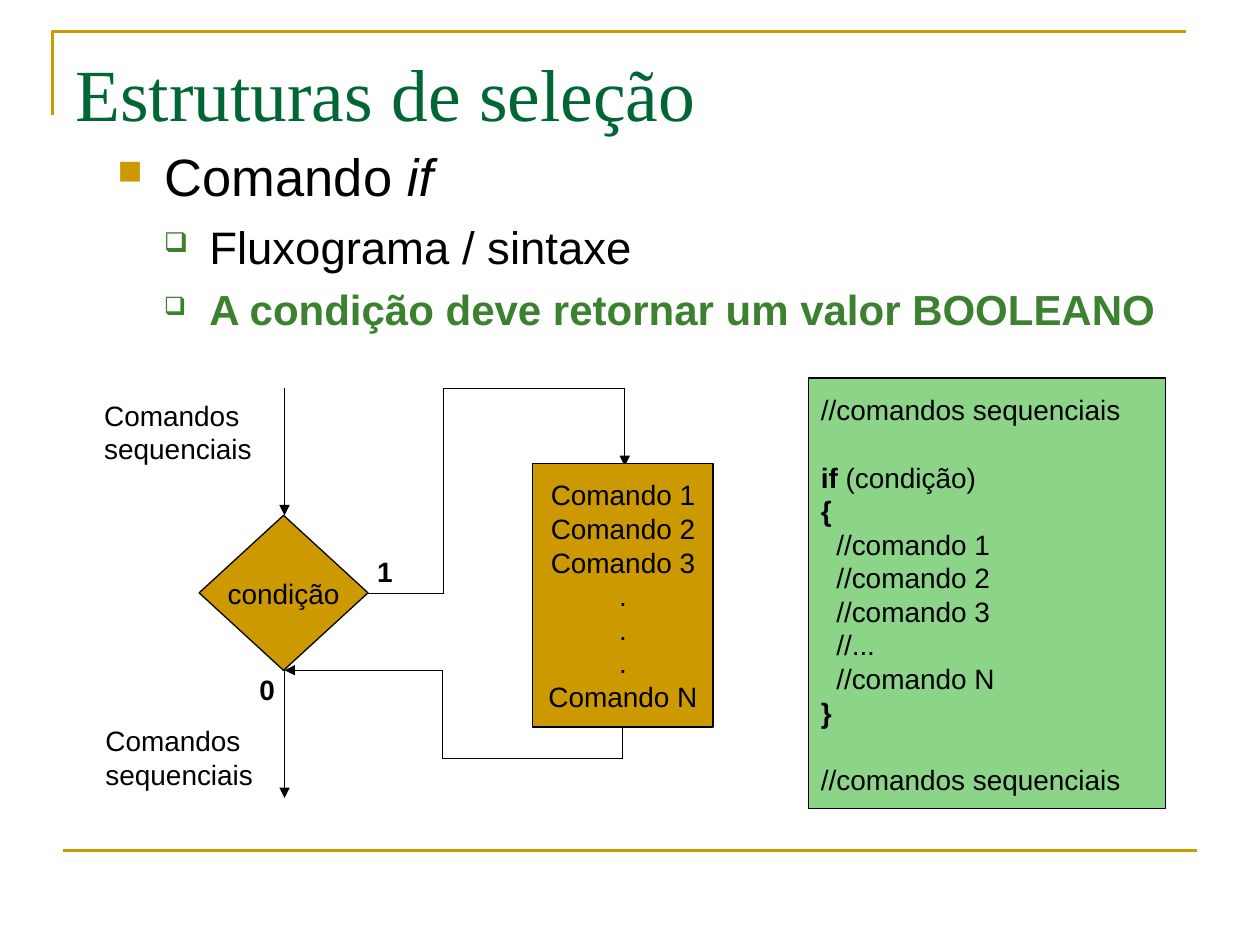
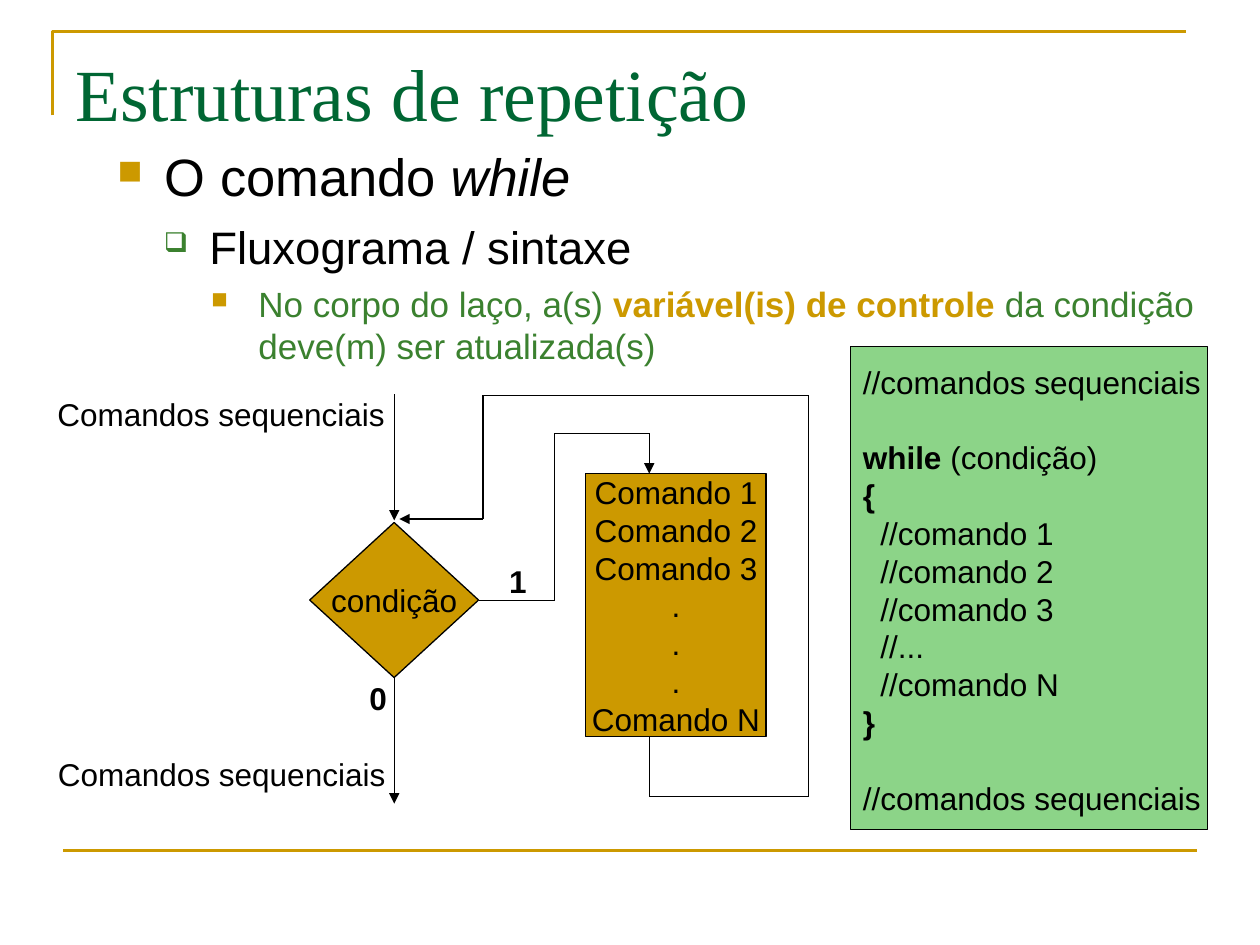
"""Build two slides on selection and repetition structures, with flowcharts and syntax."""
from dataclasses import dataclass
from itertools import pairwise
from typing import NamedTuple

from lxml import etree
from pptx import Presentation
from pptx.dml.color import RGBColor
from pptx.enum.shapes import MSO_CONNECTOR, MSO_SHAPE
from pptx.enum.text import MSO_ANCHOR, PP_ALIGN
from pptx.oxml.ns import qn
from pptx.util import Pt

LEFT, CENTER = PP_ALIGN.LEFT, PP_ALIGN.CENTER
TOP, MIDDLE = MSO_ANCHOR.TOP, MSO_ANCHOR.MIDDLE
RECTANGLE, DIAMOND = MSO_SHAPE.RECTANGLE, MSO_SHAPE.DIAMOND
STRAIGHT = MSO_CONNECTOR.STRAIGHT

GOLD = RGBColor(0xCC, 0x99, 0x00)
TITLE_GREEN = RGBColor(0x00, 0x66, 0x33)
TEXT_GREEN = RGBColor(0x3B, 0x81, 0x2F)
CODE_GREEN = RGBColor(0x8C, 0xD4, 0x88)
BLACK = RGBColor(0x00, 0x00, 0x00)

SANS, SERIF = "Arial", "Times New Roman"
LINE_HEIGHT = 1.2
THIN, FRAME_WIDTH = 0.75, 1.5
DIAMOND_SIZE = (96.5, 88.6)
COMMANDS_SIZE = (103, 150.5)
COMMANDS = ["Comando 1", "Comando 2", "Comando 3", ".", ".", ".", "Comando N"]


class Bullet(NamedTuple):
    """Marker and indent of one outline level."""
    char: str
    color: RGBColor
    percent: int
    margin: float
    hanging: float


class Run(NamedTuple):
    """Stretch of text that may differ from its paragraph."""
    text: str
    bold: bool | None = None
    italic: bool | None = None
    color: RGBColor | None = None


class Box(NamedTuple):
    """Position and size in points."""
    left: float
    top: float
    width: float
    height: float


@dataclass
class Line:
    """Paragraph with its common format."""
    runs: list[Run]
    size: float
    color: RGBColor = BLACK
    bold: bool = False
    align: PP_ALIGN = LEFT
    before: float = 0
    bullet: Bullet | None = None
    font: str = SANS


class Label(NamedTuple):
    """Caption beside the flowchart."""
    texts: list[str]
    box: Box
    bold: bool = False
    align: PP_ALIGN = CENTER


class Route(NamedTuple):
    """Path through corner points, with an arrowhead at its end."""
    points: list[tuple[float, float]]


@dataclass
class Lesson:
    """Content of one slide."""
    title: str
    outline: list[Line]
    keyword: str
    size: float
    panel: Box
    code: Box
    condition: tuple[float, float]
    commands: tuple[float, float]
    routes: list[Route]
    labels: list[Label]


LEVEL_1 = Bullet("■", GOLD, 65, 27, 27)
LEVEL_2 = Bullet("❑", TEXT_GREEN, 60, 52.5, 26)
LEVEL_3 = Bullet("■", GOLD, 65, 80.6, 27)


def points(values) -> list:
    """Convert numbers to lengths."""
    return [Pt(value) for value in values]


def add_bullet(paragraph, bullet: Bullet) -> None:
    """Give the paragraph its marker and hanging indent."""
    properties = paragraph._p.get_or_add_pPr()
    properties.set("marL", str(Pt(bullet.margin)))
    properties.set("indent", str(-Pt(bullet.hanging)))
    color = etree.SubElement(properties, qn("a:buClr"))
    etree.SubElement(color, qn("a:srgbClr"), val=str(bullet.color))
    etree.SubElement(properties, qn("a:buSzPct"), val=str(bullet.percent * 1000))
    etree.SubElement(properties, qn("a:buChar"), char=bullet.char)


def write(frame, lines: list[Line], wrap: bool = False, anchor: MSO_ANCHOR = TOP) -> None:
    """Fill a text frame with formatted lines."""
    frame.word_wrap = wrap
    frame.vertical_anchor = anchor
    for index, line in enumerate(lines):
        paragraph = frame.add_paragraph() if index else frame.paragraphs[0]
        if line.bullet:
            add_bullet(paragraph, line.bullet)
        paragraph.alignment = line.align
        paragraph.line_spacing = Pt(line.size * LINE_HEIGHT)
        paragraph.space_before = Pt(line.before)
        font = paragraph.font
        font.name, font.size, font.bold = line.font, Pt(line.size), line.bold
        font.color.rgb = line.color
        for part in line.runs:
            run = paragraph.add_run()
            run.text = part.text
            if part.bold is not None:
                run.font.bold = part.bold
            if part.italic is not None:
                run.font.italic = part.italic
            if part.color is not None:
                run.font.color.rgb = part.color


def add_text(slide, box: Box, lines: list[Line], wrap: bool = False) -> None:
    """Add a text box."""
    write(slide.shapes.add_textbox(*points(box)).text_frame, lines, wrap)


def add_block(slide, kind: MSO_SHAPE, box: Box, fill: RGBColor, lines: list[Line]) -> None:
    """Add a filled, outlined shape with centred text."""
    block = slide.shapes.add_shape(kind, *points(box))
    block.shadow.inherit = False
    block.fill.solid()
    block.fill.fore_color.rgb = fill
    block.line.color.rgb = BLACK
    block.line.width = Pt(THIN)
    write(block.text_frame, lines, anchor=MIDDLE)


def add_line(slide, start, end, color: RGBColor = BLACK, width: float = THIN,
             arrow: bool = False) -> None:
    """Add a straight line, with an arrowhead if asked."""
    connector = slide.shapes.add_connector(STRAIGHT, *points((*start, *end)))
    connector.line.color.rgb = color
    connector.line.width = Pt(width)
    if arrow:
        etree.SubElement(connector.line._get_or_add_ln(), qn("a:tailEnd"), type="triangle")
    etree.SubElement(connector._element.spPr, qn("a:effectLst"))


def add_route(slide, route: Route) -> None:
    """Draw every segment of a route."""
    segments = list(pairwise(route.points))
    for index, (start, end) in enumerate(segments, 1):
        add_line(slide, start, end, arrow=index == len(segments))


def add_frame(slide, title: str) -> None:
    """Draw the corner rule, the bottom rule and the title."""
    builder = slide.shapes.build_freeform(Pt(30), Pt(66))
    builder.add_line_segments([points((30, 18)), points((678, 18))], close=False)
    corner = builder.convert_to_shape()
    corner.shadow.inherit = False
    corner.fill.background()
    corner.line.color.rgb = GOLD
    corner.line.width = Pt(FRAME_WIDTH)
    add_line(slide, (36, 486), (684, 486), GOLD, FRAME_WIDTH)
    heading = Line([Run(title)], 42, TITLE_GREEN, font=SERIF)
    add_text(slide, Box(36, 24, 648, 90), [heading], wrap=True)


def code_lines(keyword: str, size: float) -> list[Line]:
    """Return the syntax example for a keyword."""
    gap = size * LINE_HEIGHT
    body = ["comando 1", "comando 2", "comando 3", "...", "comando N"]
    return [
        Line([Run("//comandos sequenciais")], size),
        Line([Run(keyword, bold=True), Run(" (condição)")], size, before=gap),
        Line([Run("{")], size, bold=True),
        *[Line([Run(f"  //{text}")], size) for text in body],
        Line([Run("}")], size, bold=True),
        Line([Run("//comandos sequenciais")], size, before=gap),
    ]


def add_lesson(deck, lesson: Lesson) -> None:
    """Build one slide."""
    slide = deck.slides.add_slide(deck.slide_layouts[6])
    size = lesson.size
    add_frame(slide, lesson.title)
    add_text(slide, Box(60, 79, 660, 402), lesson.outline, wrap=True)
    add_block(slide, RECTANGLE, lesson.panel, CODE_GREEN, [])
    add_text(slide, lesson.code, code_lines(lesson.keyword, size), wrap=True)
    for route in lesson.routes:
        add_route(slide, route)
    add_block(slide, DIAMOND, Box(*lesson.condition, *DIAMOND_SIZE), GOLD,
              [Line([Run("condição")], size, align=CENTER)])
    add_block(slide, RECTANGLE, Box(*lesson.commands, *COMMANDS_SIZE), GOLD,
              [Line([Run(text)], size, align=CENTER) for text in COMMANDS])
    for label in lesson.labels:
        add_text(slide, label.box, [Line([Run(text)], size, bold=label.bold, align=label.align)
                                    for text in label.texts])


SYNTAX = Line([Run("Fluxograma / sintaxe")], 26, before=6.5, bullet=LEVEL_2)

SELECTION = Lesson(
    title="Estruturas de seleção",
    outline=[
        Line([Run("Comando "), Run("if", italic=True)], 30, bullet=LEVEL_1),
        SYNTAX,
        Line([Run("A condição deve retornar um valor BOOLEANO")], 24, TEXT_GREEN, True,
             before=6, bullet=LEVEL_2),
    ],
    keyword="if",
    size=16,
    panel=Box(462, 216, 204, 246),
    code=Box(462, 221, 210, 237.6),
    condition=(113.8, 294.5),
    commands=(304.5, 265),
    routes=[
        Route([(162.6, 222), (162.6, 294.5)]),
        Route([(210.3, 339), (253.6, 339), (253.6, 222), (357, 222), (357, 266.4)]),
        Route([(355.7, 415.5), (355.7, 433.6), (253, 433.6), (253, 383), (162.6, 383)]),
        Route([(162.6, 383), (162.6, 456)]),
    ],
    labels=[
        Label(["1"], Box(194.4, 313.2, 51.1, 26.6), True),
        Label(["0"], Box(141.1, 380.9, 23, 26.6), True),
        Label(["Comandos", "sequenciais"], Box(52.5, 224, 98.6, 46), align=LEFT),
        Label(["Comandos", "sequenciais"], Box(53.2, 410, 98.6, 46), align=LEFT),
    ],
)

REPETITION = Lesson(
    title="Estruturas de repetição",
    outline=[
        Line([Run("O comando "), Run("while", italic=True)], 30, bullet=LEVEL_1),
        SYNTAX,
        Line([Run("No corpo do laço, a(s) "),
              Run("variável(is) de controle", bold=True, color=GOLD),
              Run(" da condição deve(m) ser atualizada(s)")],
             20, TEXT_GREEN, before=5, bullet=LEVEL_3),
    ],
    keyword="while",
    size=18,
    panel=Box(486, 198, 204, 276),
    code=Box(486, 203.8, 210, 266.4),
    condition=(177, 298.6),
    commands=(334.8, 270.6),
    routes=[
        Route([(225.3, 225.2), (225.3, 297.4)]),
        Route([(273.5, 343.2), (317, 343.2), (317, 247.6), (371, 247.6), (371, 270.6)]),
        Route([(371, 421), (371, 455.2), (462.2, 455.2), (462.2, 226), (276, 226),
               (276, 296.6), (228.2, 296.6)]),
        Route([(225.3, 387), (225.3, 459.2)]),
    ],
    labels=[
        Label(["1"], Box(270, 317.5, 51.8, 28.8), True),
        Label(["0"], Box(203.8, 384.5, 24.5, 28.8), True),
        Label(["Comandos sequenciais"], Box(25.5, 222, 201.6, 28.8)),
        Label(["Comandos sequenciais"], Box(25.9, 427.7, 201.6, 28.8)),
    ],
)


def main() -> None:
    """Create and save the deck."""
    deck = Presentation()
    deck.slide_width, deck.slide_height = Pt(720), Pt(540)
    for lesson in (SELECTION, REPETITION):
        add_lesson(deck, lesson)
    deck.save("out.pptx")


if __name__ == "__main__":
    main()
